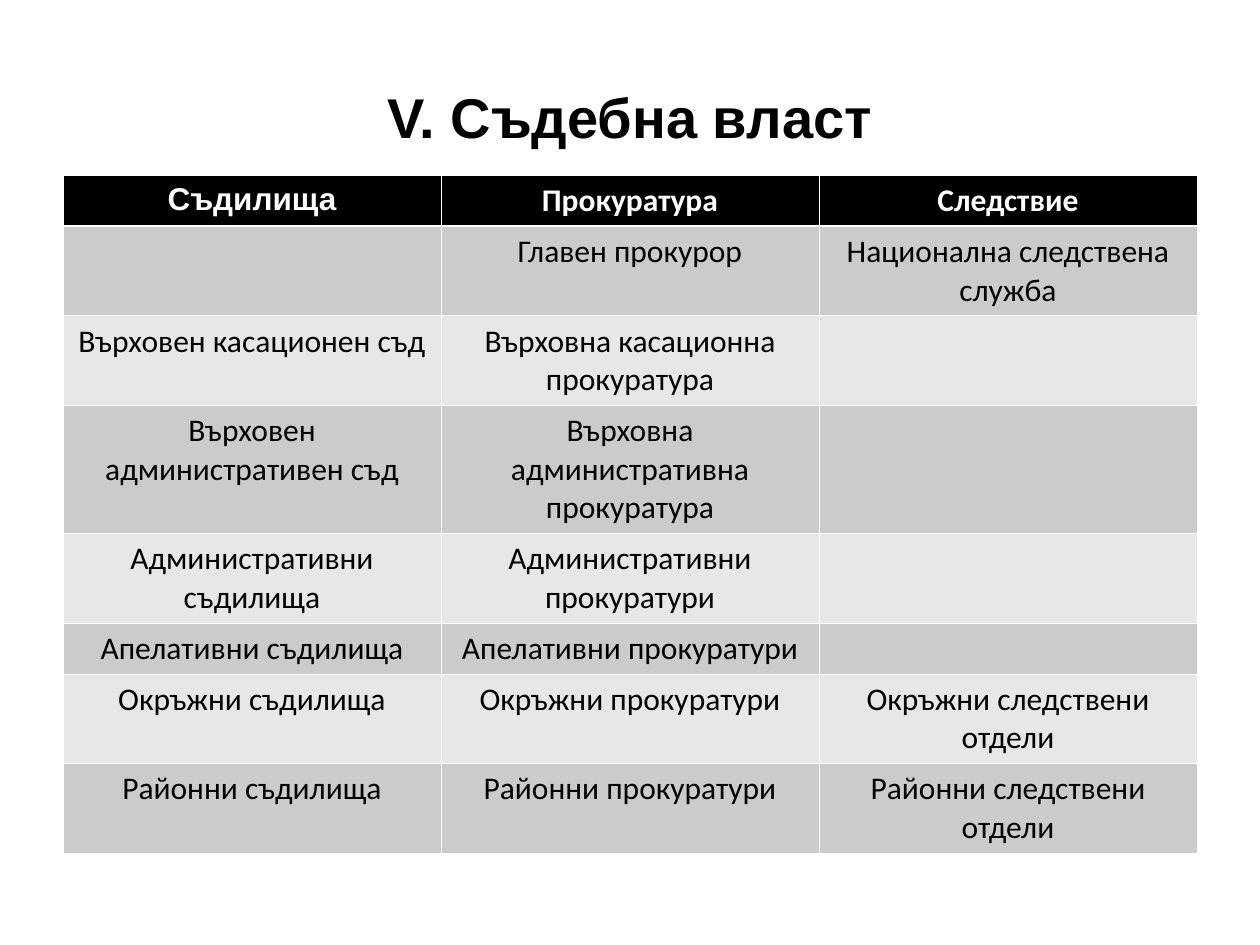
from lxml import etree
from pptx import Presentation
from pptx.dml.color import RGBColor
from pptx.enum.text import MSO_ANCHOR, PP_ALIGN
from pptx.oxml.ns import qn
from pptx.util import Inches, Pt

CENTER = PP_ALIGN.CENTER
MIDDLE = MSO_ANCHOR.MIDDLE
BLACK = RGBColor(0x00, 0x00, 0x00)
WHITE = RGBColor(0xFF, 0xFF, 0xFF)
DARK_BAND = RGBColor(0xCB, 0xCB, 0xCB)
LIGHT_BAND = RGBColor(0xE7, 0xE7, 0xE7)
THIN, THICK = 0.45, 1.47

SLIDE_W, SLIDE_H = 10, 7.5
MARGIN = 0.05 * SLIDE_W
CONTENT_W = SLIDE_W - 2 * MARGIN
LINE_H, PAD_H = 0.305, 0.1

TITLE = "V. Съдебна власт"
ROWS = [
    ("Съдилища", "Прокуратура", "Следствие"),
    ("", "Главен прокурор", "Национална следствена служба"),
    ("Върховен касационен съд", "Върховна касационна прокуратура", ""),
    ("Върховен административен съд", "Върховна административна прокуратура", ""),
    ("Административни съдилища", "Административни прокуратури", ""),
    ("Апелативни съдилища", "Апелативни прокуратури", ""),
    ("Окръжни съдилища", "Окръжни прокуратури", "Окръжни следствени отдели"),
    ("Районни съдилища", "Районни прокуратури", "Районни следствени отдели"),
]
ROW_LINES = [1, 2, 2, 3, 2, 1, 2, 2]


def write(tf, text, size=18, font="Calibri", color=BLACK, bold=False):
    """Put one centred, formatted run into a text frame."""
    p = tf.paragraphs[0]
    p.alignment = CENTER
    r = p.add_run()
    r.text = text
    r.font.size = Pt(size)
    r.font.name = font
    r.font.bold = bold
    r.font.color.rgb = color


def set_borders(cell, top=THIN, bottom=THIN):
    """Draw white lines on the four sides of a cell."""
    tc_pr = cell._tc.get_or_add_tcPr()
    sides = {"lnL": THIN, "lnR": THIN, "lnT": top, "lnB": bottom}
    for i, (side, width) in enumerate(sides.items()):
        ln = etree.Element(qn(f"a:{side}"), w=str(Pt(width)))
        fill = etree.SubElement(ln, qn("a:solidFill"))
        etree.SubElement(fill, qn("a:srgbClr"), val=str(WHITE))
        tc_pr.insert(i, ln)


def add_title(s, x, y, w, h):
    """Place the slide title in the given box."""
    sp = s.shapes.title
    sp.left, sp.top, sp.width, sp.height = (Inches(v) for v in (x, y, w, h))
    tf = sp.text_frame
    tf.word_wrap = True
    tf.vertical_anchor = MIDDLE
    write(tf, TITLE, size=32, font="Arial", bold=True)


def add_authority_table(s, x, y, w):
    """Place the table of judicial bodies, with rows sized by their lines."""
    heights = [PAD_H + LINE_H * n for n in ROW_LINES]
    box = (Inches(v) for v in (x, y, w, sum(heights)))
    table = s.shapes.add_table(len(ROWS), len(ROWS[0]), *box).table
    for i, row in enumerate(ROWS):
        table.rows[i].height = Inches(heights[i])
        header = i == 0
        band = DARK_BAND if i % 2 else LIGHT_BAND
        for j, text in enumerate(row):
            cell = table.cell(i, j)
            cell.fill.solid()
            cell.fill.fore_color.rgb = BLACK if header else band
            set_borders(cell, top=THICK if i == 1 else THIN,
                        bottom=THICK if header else THIN)
            if text:
                write(cell.text_frame, text, bold=header,
                      font="Arial" if header and j == 0 else "Calibri",
                      color=WHITE if header else BLACK)


def main():
    """Build the slide and save it."""
    prs = Presentation()
    prs.slide_width, prs.slide_height = Inches(SLIDE_W), Inches(SLIDE_H)
    s = prs.slides.add_slide(prs.slide_layouts[5])
    add_title(s, MARGIN, 0.04 * SLIDE_H, CONTENT_W, SLIDE_H / 6)
    add_authority_table(s, MARGIN, 1.39, CONTENT_W)
    prs.save("out.pptx")


if __name__ == "__main__":
    main()
